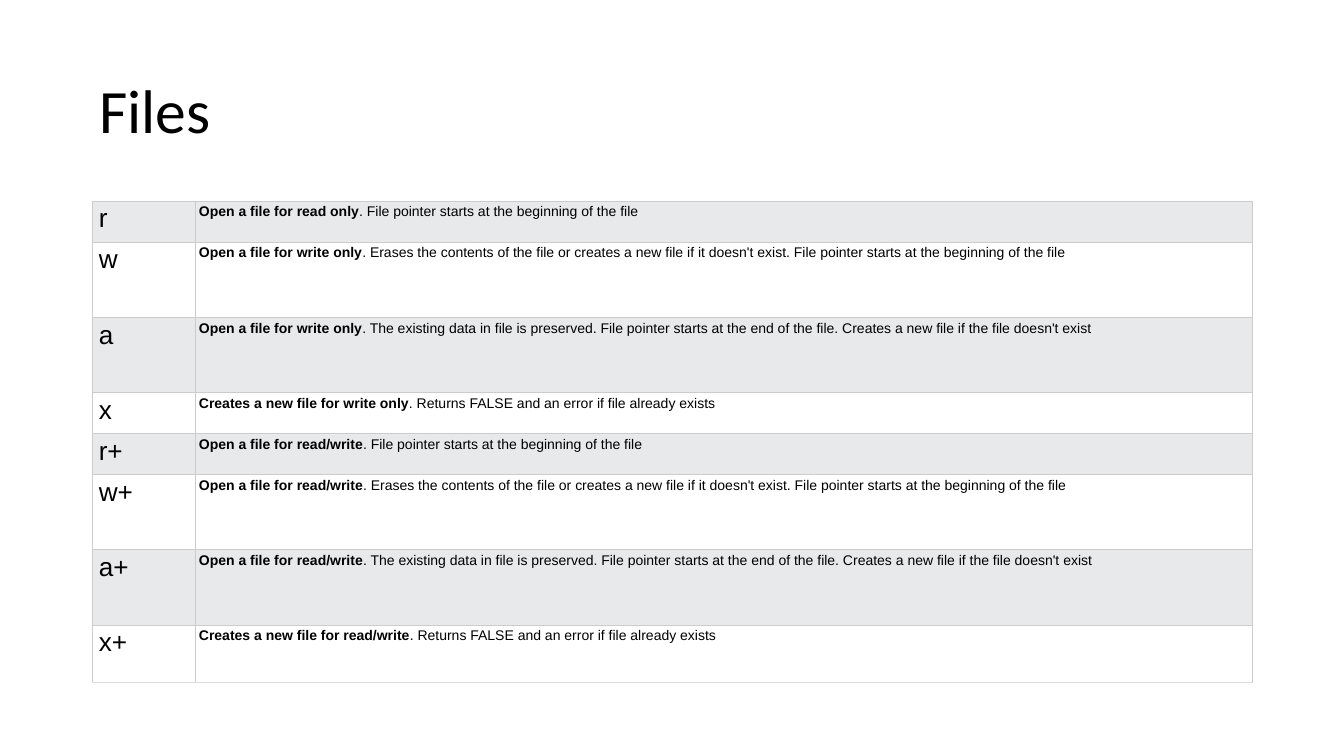
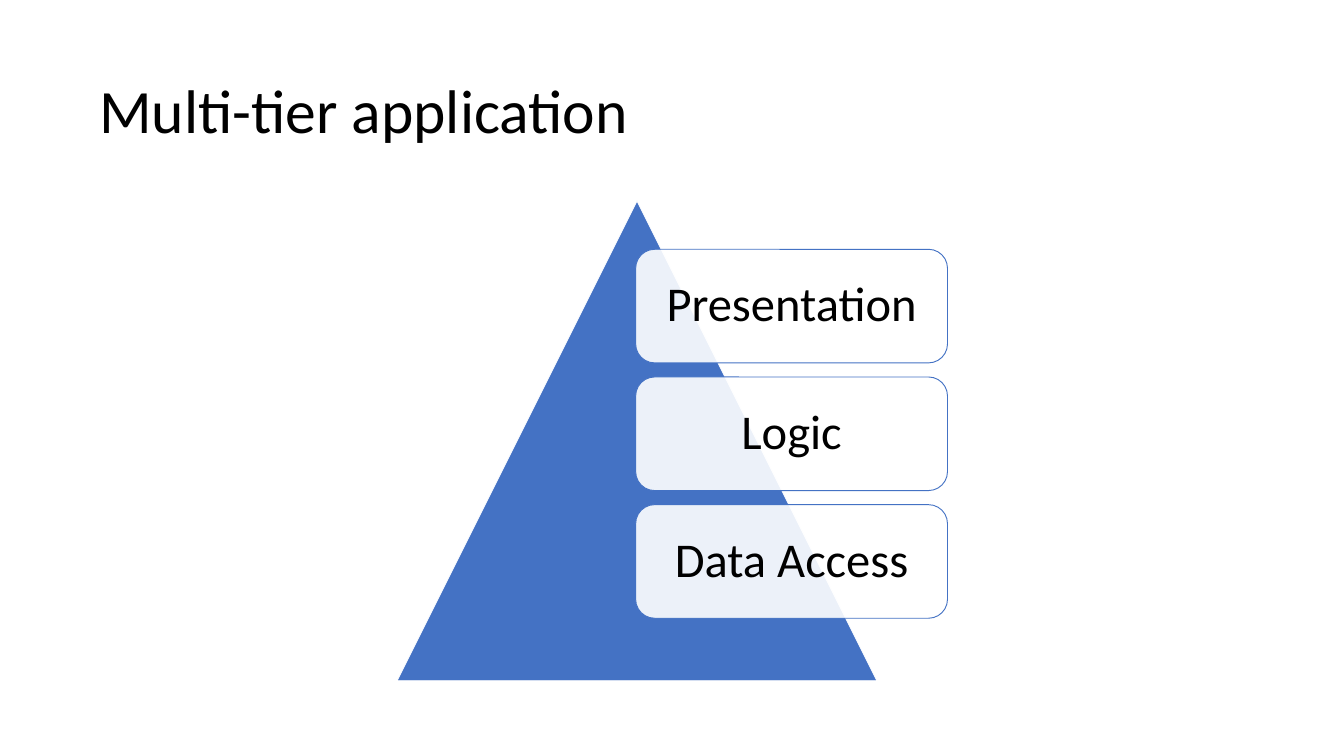
import dataclasses
import typing

import pptx
import pptx.dml.color
import pptx.enum.shapes
import pptx.enum.text
import pptx.oxml
import pptx.oxml.ns
import pptx.util

Inches = pptx.util.Inches
Pt = pptx.util.Pt
ALIGN = pptx.enum.text.PP_ALIGN
ANCHOR = pptx.enum.text.MSO_ANCHOR
SHAPE = pptx.enum.shapes.MSO_SHAPE

# Shared style
HEADING_FONT = "Calibri"
TABLE_FONT = "Arial"
BLACK = "000000"
WHITE = "FFFFFF"
BLUE = "4472C4"
BAND = "E7E9EB"
RULE = "CCCCCC"
LAST_RULE = "DDDDDD"
LEFT, CONTENT_TOP = 1.38, 2.99
CONTENT_WIDTH, CONTENT_HEIGHT = 17.25, 7.14


@dataclasses.dataclass(frozen=True)
class FileMode:
    letter: str
    action: str
    detail: str
    height: float


@dataclasses.dataclass(frozen=True)
class Tier:
    name: str
    top: float


MODES = [
    FileMode("r", "Open a file for",
             "File pointer starts at the beginning of the file", 0.61),
    FileMode("w", "Open a file for",
             "Erases the contents of the file or creates a new file if it doesn't exist. "
             "File pointer starts at the beginning of the file", 1.12),
    FileMode("a", "Open a file for",
             "The existing data in file is preserved. File pointer starts at the end of "
             "the file. Creates a new file if the file doesn't exist", 1.12),
    FileMode("x", "Creates a new file for",
             "Returns FALSE and an error if file already exists", 0.61),
]
LAST_ROW_HEIGHT = 0.86
TIER_NAMES = ["Presentation", "Logic", "Data Access"]
TIER_TOP, TIER_STEP = 3.71, 1.9
TIERS = [Tier(name, TIER_TOP + i * TIER_STEP) for i, name in enumerate(TIER_NAMES)]


def rgb(value: str) -> pptx.dml.color.RGBColor:
    return pptx.dml.color.RGBColor.from_string(value)


def add_text(p, text: str, *, size: float, font: str = HEADING_FONT,
             color: str = BLACK, bold: bool = False, align=None,
             spacing: typing.Optional[float] = None) -> None:
    """Append a formatted run to a paragraph."""
    r = p.add_run()
    r.text = text
    r.font.size = Pt(size)
    r.font.name = font
    r.font.bold = bold
    r.font.color.rgb = rgb(color)
    if align is not None:
        p.alignment = align
    if spacing is not None:
        p.line_spacing = spacing


def add_titled_slide(prs, title: str):
    slide = prs.slides.add_slide(prs.slide_layouts[6])
    slide.background.fill.solid()
    slide.background.fill.fore_color.rgb = rgb(WHITE)
    tb = slide.shapes.add_textbox(Inches(LEFT), Inches(0.6),
                                  Inches(CONTENT_WIDTH), Inches(2.17))
    tf = tb.text_frame
    tf.word_wrap = True
    tf.vertical_anchor = ANCHOR.MIDDLE
    add_text(tf.paragraphs[0], title, size=66, spacing=0.9)
    return slide


def add_shape(shapes, kind, left: float, top: float, width: float, height: float,
              *, fill: str, line: str, opacity: int = 100):
    sp = shapes.add_shape(kind, Inches(left), Inches(top), Inches(width), Inches(height))
    sp.shadow.inherit = False
    sp.fill.solid()
    sp.fill.fore_color.rgb = rgb(fill)
    sp.line.color.rgb = rgb(line)
    sp.line.width = Pt(1)
    if opacity < 100:
        clr = sp.fill._xPr.find(".//" + pptx.oxml.ns.qn("a:srgbClr"))
        clr.append(pptx.oxml.parse_xml(
            f'<a:alpha {pptx.oxml.ns.nsdecls("a")} val="{opacity * 1000}"/>'))
    return sp


def style_cell(cell, fill: str, left_inset: float, bottom_rule: str) -> None:
    tc_pr = cell._tc.get_or_add_tcPr()
    for side in "LRTB":  # borders come before the fill
        color = bottom_rule if side == "B" else RULE
        tc_pr.append(pptx.oxml.parse_xml(
            f'<a:ln{side} {pptx.oxml.ns.nsdecls("a")} w="{Pt(0.75)}"><a:solidFill>'
            f'<a:srgbClr val="{color}"/></a:solidFill></a:ln{side}>'))
    cell.fill.solid()
    cell.fill.fore_color.rgb = rgb(fill)
    cell.margin_left = Inches(left_inset)
    cell.margin_right = cell.margin_top = cell.margin_bottom = Inches(0.05)


def build_files(prs) -> None:
    slide = add_titled_slide(prs, "Files")
    # Each mode appears plain, then again with "+" for read/write
    rows = []
    for m in MODES:
        access = "read only" if m.letter == "r" else "write only"
        rows.append(dataclasses.replace(m, action=f"{m.action} {access}"))
    for m in MODES:
        rows.append(dataclasses.replace(m, letter=m.letter + "+",
                                        action=f"{m.action} read/write"))
    rows[-1] = dataclasses.replace(rows[-1], height=LAST_ROW_HEIGHT)

    table = slide.shapes.add_table(
        len(rows), 2, Inches(LEFT), Inches(CONTENT_TOP),
        Inches(CONTENT_WIDTH), Inches(CONTENT_HEIGHT)).table
    table.first_row = table.horz_banding = False
    table.columns[0].width = Inches(1.53)
    table.columns[1].width = Inches(15.72)

    for i, mode in enumerate(rows):
        table.rows[i].height = Inches(mode.height)
        fill = WHITE if i % 2 else BAND
        bottom_rule = LAST_RULE if i == len(rows) - 1 else RULE
        letter, description = table.cell(i, 0), table.cell(i, 1)
        style_cell(letter, fill, 0.09, bottom_rule)
        style_cell(description, fill, 0.05, bottom_rule)
        add_text(letter.text_frame.paragraphs[0], mode.letter, size=28, font=TABLE_FONT)
        p = description.text_frame.paragraphs[0]
        add_text(p, mode.action, size=15, font=TABLE_FONT, bold=True)
        add_text(p, f". {mode.detail}", size=15, font=TABLE_FONT)


def build_tiers(prs) -> None:
    slide = add_titled_slide(prs, "Multi-tier application")
    shapes = slide.shapes.add_group_shape().shapes
    add_shape(shapes, SHAPE.ISOSCELES_TRIANGLE, 5.91, CONTENT_TOP,
              CONTENT_HEIGHT, CONTENT_HEIGHT, fill=BLUE, line=WHITE)
    for tier in TIERS:
        sp = add_shape(shapes, SHAPE.ROUNDED_RECTANGLE, 9.46, tier.top, 4.64, 1.69,
                       fill=WHITE, line=BLUE, opacity=90)
        tf = sp.text_frame
        tf.word_wrap = True
        tf.vertical_anchor = ANCHOR.MIDDLE
        tf.margin_left = tf.margin_right = Inches(0.22)
        tf.margin_top = tf.margin_bottom = Inches(0.22)
        add_text(tf.paragraphs[0], tier.name, size=52, align=ALIGN.CENTER, spacing=0.9)


def main() -> None:
    prs = pptx.Presentation()
    prs.slide_width = Inches(20)
    prs.slide_height = Inches(11.25)
    build_files(prs)
    build_tiers(prs)
    prs.save("out.pptx")


if __name__ == "__main__":
    main()
